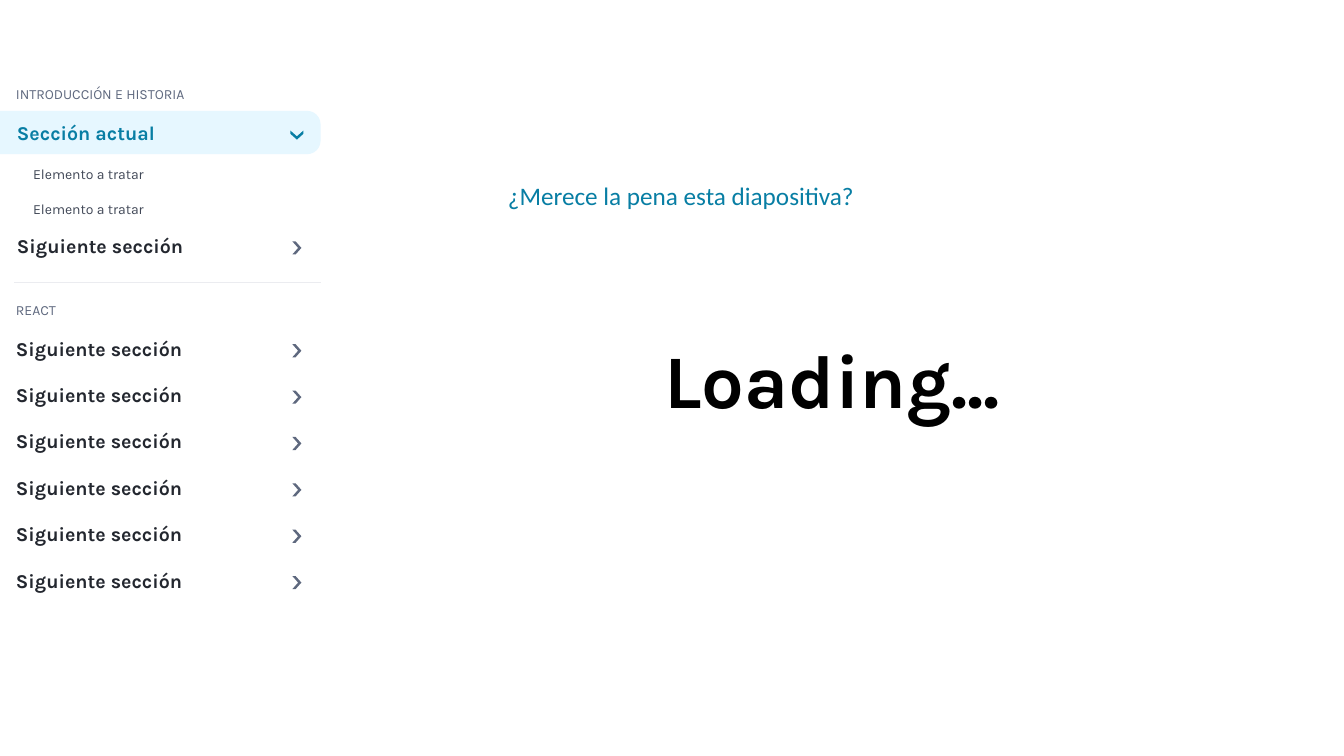
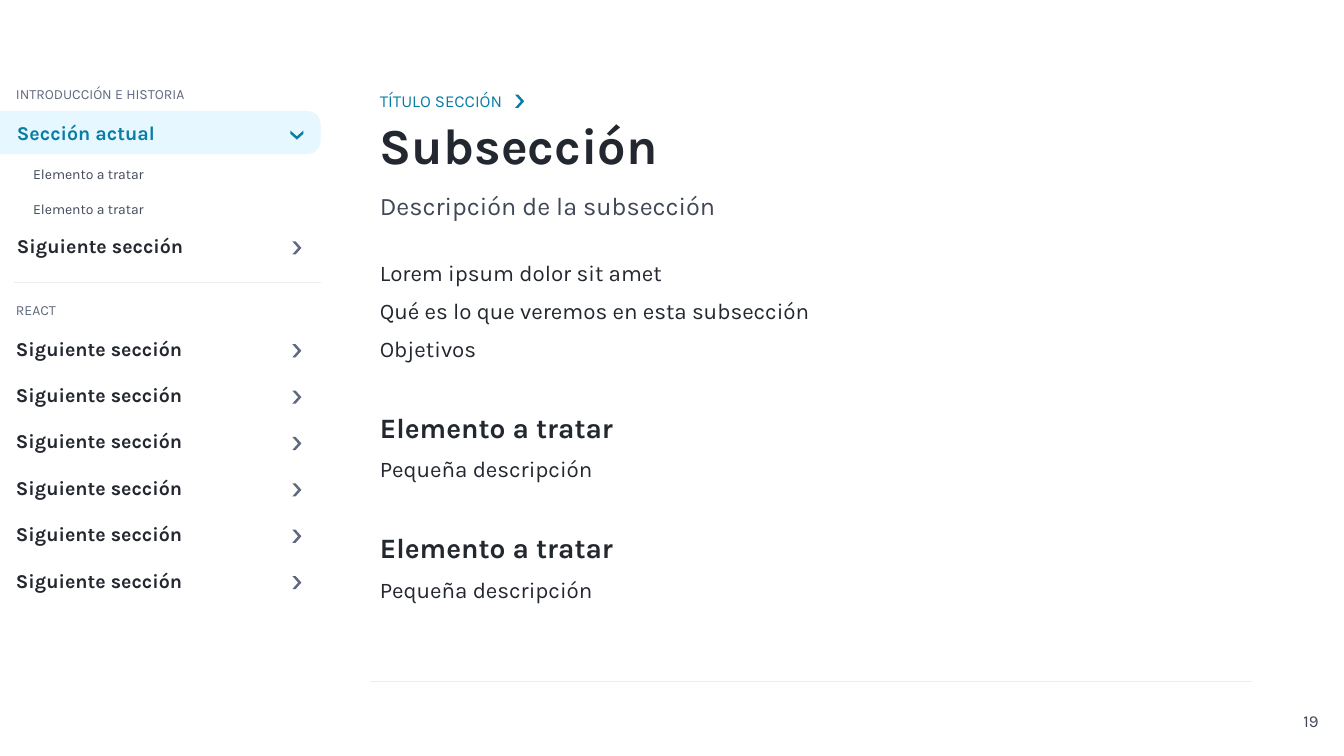
from collections import namedtuple

from lxml.etree import SubElement
from pptx import Presentation
from pptx.dml.color import RGBColor
from pptx.enum.shapes import MSO_CONNECTOR as Connector, MSO_SHAPE as Preset
from pptx.enum.text import MSO_ANCHOR as Anchor, PP_ALIGN as Align
from pptx.oxml.ns import qn
from pptx.util import Inches, Pt

COLORS = {
    "accent": "087EA4",
    "highlight": "E6F7FF",
    "heading": "23272F",
    "text": "404756",
    "muted": "5E687E",
    "rule": "EBECF0",
    "black": "000000",
}
FONT = "Karla"
COLUMNS, ROWS = 160, 90
WIDTH, HEIGHT = Inches(13.33), Inches(7.5)
SECTION_STEP = 5.52


class Box(namedtuple("Box", "left top width height")):
    """A rectangle in grid columns and rows."""

    def inside(self, left, top, width, height):
        return Box(self.left + left, self.top + top, width, height)

    def lengths(self):
        return (
            round(self.left * WIDTH / COLUMNS),
            round(self.top * HEIGHT / ROWS),
            round(self.width * WIDTH / COLUMNS),
            round(self.height * HEIGHT / ROWS),
        )


SIDEBAR = Box(0, 9.6, 38.16, 61.6)
CONTENT = Box(44.04, 9.84, 105, 71.28)
LOADING = Box(58.32, 39, 81.48, 12.12)
QUESTION = Box(59.28, 13.68, 60, 12)
PAGE_NUMBER = Box(122.16, 83.4, 36, 4.8)


def color(name):
    return RGBColor.from_string(COLORS[name])


def add_text(slide, box, *lines, size=12, fill="heading", bold=False, font=FONT,
             align=Align.LEFT, anchor=Anchor.TOP, spacing=1.0):
    """Each line is a string, or a (string, format) pair that overrides the format."""
    frame = slide.shapes.add_textbox(*box.lengths()).text_frame
    frame.word_wrap = True
    frame.vertical_anchor = anchor
    for index, line in enumerate(lines):
        words, own = (line, {}) if isinstance(line, str) else line
        paragraph = frame.add_paragraph() if index else frame.paragraphs[0]
        paragraph.text = words
        paragraph.alignment = align
        paragraph.line_spacing = spacing
        if index:
            paragraph.space_before = Pt(own.get("before", 10))
        paragraph.font.name = font
        paragraph.font.size = Pt(own.get("size", size))
        paragraph.font.bold = own.get("bold", bold)
        paragraph.font.color.rgb = color(fill)


def add_filled(slide, preset, box, fill, adjustment):
    shape = slide.shapes.add_shape(preset, *box.lengths())
    shape.shadow.inherit = False
    shape.fill.solid()
    shape.fill.fore_color.rgb = color(fill)
    shape.line.fill.background()
    shape.adjustments[0] = adjustment
    return shape


def add_chevron(slide, box, left, top, fill):
    return add_filled(slide, Preset.CHEVRON, box.inside(left, top, 1.08, 1.56), fill, 0.64)


def add_rule(slide, box, weight):
    """Draw a line along the top edge of the box."""
    left, top, width, _ = box.lengths()
    line = slide.shapes.add_connector(Connector.STRAIGHT, left, top, left + width, top)
    line.line.color.rgb = color("rule")
    line.line.width = Pt(weight)
    SubElement(line._element.spPr, qn("a:effectLst"))


def add_section(slide, box, name, fill="heading", arrow="muted", is_open=False):
    add_text(slide, box, name, size=14, fill=fill, bold=True)
    chevron = add_chevron(slide, box, 34.8 - box.left, 1.5, arrow)
    chevron.rotation = 90 if is_open else 0


def add_sidebar(slide, box):
    def row(top, height, left=0.72):
        return box.inside(left, top, box.width - left, height)

    add_filled(slide, Preset.ROUNDED_RECTANGLE,
               box.inside(-2.88, 3.6, box.width + 2.88, 5.16), "highlight", 0.31)
    for top, heading in ((0, "INTRODUCCIÓN E HISTORIA"), (25.68, "REACT")):
        add_text(slide, row(top, 3.24), heading, size=10, fill="muted")
    add_section(slide, row(4.2, 4.08, 0.84), "Sección actual", "accent", "accent", True)
    for top in (9.48, 13.68):
        add_text(slide, row(top, 3.24, 2.76), "Elemento a tratar", size=10, fill="text")
    add_section(slide, row(17.64, 4.08, 0.84), "Siguiente sección")
    add_rule(slide, box.inside(1.68, 24, box.width - 1.68, 0), 1)
    for index in range(6):
        add_section(slide, row(29.88 + index * SECTION_STEP, 4.08), "Siguiente sección")


def add_subsection(slide, box):
    def band(top, height):
        return box.inside(0, top, box.width, height)

    add_text(slide, band(3.96, 7.2), "Subsección", size=36, bold=True, spacing=0.9)
    add_text(slide, box.inside(0, 0, 27.24, 3.96), "TÍTULO SECCIÓN",
             fill="accent", anchor=Anchor.BOTTOM, spacing=0.9)
    add_chevron(slide, box, 17.28, 1.44, "accent")
    add_text(slide, band(12.6, 4.8), "Descripción de la subsección",
             size=18, fill="text", spacing=0.9)
    item = (("Elemento a tratar", {"size": 20, "bold": True, "before": 37}),
            "Pequeña descripción")
    add_text(slide, band(20.76, 50.52), "Lorem ipsum dolor sit amet",
             "Qué es lo que veremos en esta subsección", "Objetivos",
             *item, *item, size=16, spacing=0.9)
    add_rule(slide, band(box.height, 0), 0.5)


def add_menu_slide(presentation):
    slide = presentation.slides.add_slide(presentation.slide_layouts[6])
    add_sidebar(slide, SIDEBAR)
    return slide


def build_loading_slide(presentation):
    slide = add_menu_slide(presentation)
    add_text(slide, LOADING, "Loading...", size=54, fill="black", bold=True,
             align=Align.CENTER, anchor=Anchor.MIDDLE)
    add_text(slide, QUESTION, "¿Merece la pena esta diapositiva?", size=18,
             fill="accent", font="Calibri", anchor=Anchor.BOTTOM)


def build_subsection_slide(presentation):
    slide = add_menu_slide(presentation)
    add_subsection(slide, CONTENT)
    add_text(slide, PAGE_NUMBER, "19", fill="text", align=Align.RIGHT, anchor=Anchor.MIDDLE)


def main():
    presentation = Presentation()
    presentation.slide_width, presentation.slide_height = WIDTH, HEIGHT
    build_loading_slide(presentation)
    build_subsection_slide(presentation)
    presentation.save("out.pptx")


if __name__ == "__main__":
    main()
